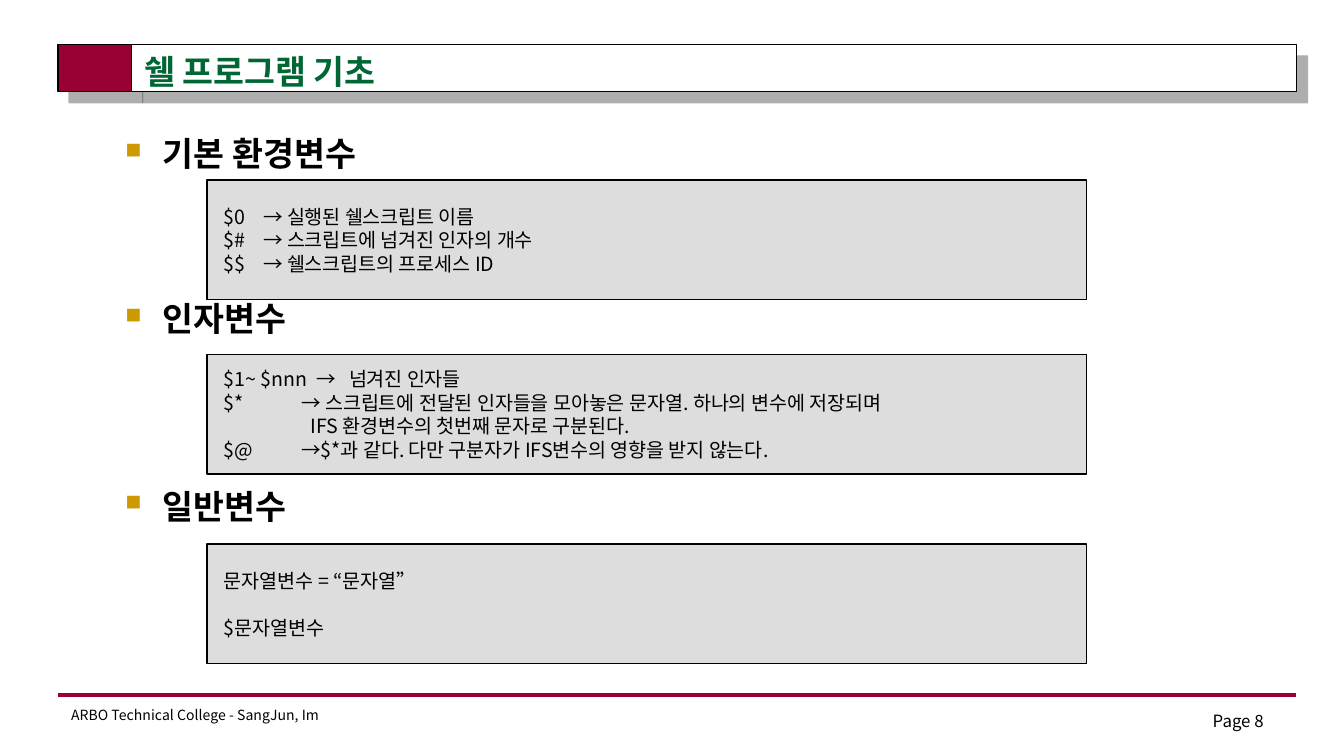
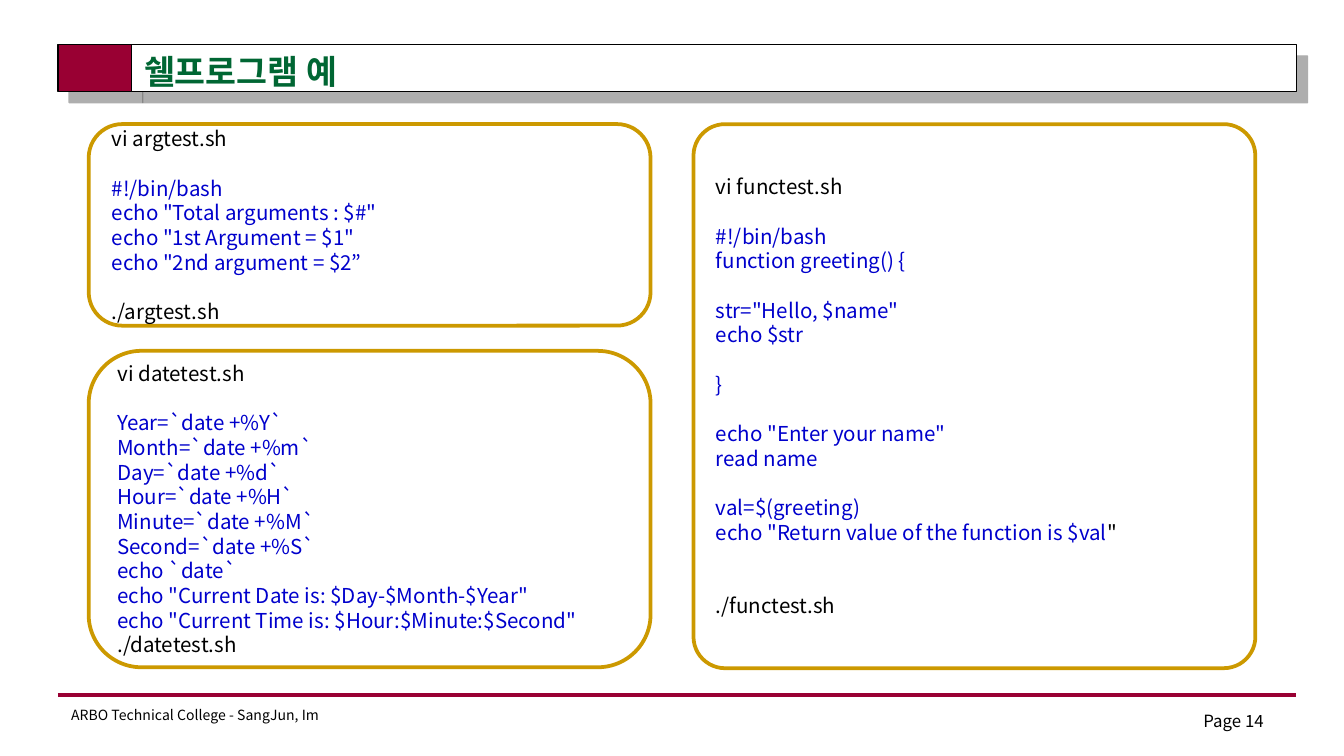
from dataclasses import dataclass

from lxml.etree import SubElement
from pptx import Presentation
from pptx.dml.color import RGBColor
from pptx.enum.shapes import MSO_CONNECTOR, MSO_SHAPE as Preset
from pptx.enum.text import MSO_ANCHOR as Anchor, MSO_AUTO_SIZE as AutoSize, PP_ALIGN as Align
from pptx.oxml.ns import qn
from pptx.util import Pt


@dataclass(frozen=True)
class Theme:
    font: str = "Noto Sans CJK KR"
    black: str = "000000"
    white: str = "FFFFFF"
    crimson: str = "990033"
    green: str = "006633"
    gold: str = "CC9900"
    blue: str = "0000CC"
    grey: str = "DDDDDD"
    shadow: str = "5F5F5F"
    heading: float = 18
    script: float = 11
    note: float = 10.5
    page: float = 9
    footer: float = 7.5
    leading: float = 1.2


THEME = Theme()

FOOTER = "ARBO Technical College - SangJun, Im"

VARIABLES = {
    "title": "쉘 프로그램 기초",
    "page": "Page 8",
    "headings": [("기본 환경변수", 0), ("인자변수", 66.8), ("일반변수", 79)],
    "boxes": [
        (96.5, [
            ("$0\t→ 실행된 쉘스크립트 이름", [21]),
            ("$#\t→ 스크립트에 넘겨진 인자의 개수", [21]),
            ("$$\t→ 쉘스크립트의 프로세스 ID", [21]),
        ]),
        (190, [
            ("$1~ $nnn\t→\t넘겨진 인자들", [49.5, 67]),
            ("$*\t→ 스크립트에 전달된 인자들을 모아놓은 문자열. 하나의 변수에 저장되며", [41.5]),
            ("\tIFS 환경변수의 첫번째 문자로 구분된다.", [46.5]),
            ("$@\t→$*과 같다. 다만 구분자가 IFS변수의 영향을 받지 않는다.", [41.5]),
        ]),
        (291.5, [
            ("문자열변수 = “문자열”", []),
            ("", []),
            ("$문자열변수", []),
        ]),
    ],
}

EXAMPLES = {
    "title": "쉘프로그램 예",
    "page": "Page 14",
    "panels": [
        ((47.5, 66.5, 301, 108), None, [
            "vi argtest.sh",
            "",
            "#!/bin/bash",
            'echo "Total arguments : $#"',
            'echo "1st Argument = $1"',
            'echo "2nd argument = $2”',
            "",
            "./argtest.sh",
        ]),
        ((371.5, 66.5, 301, 291.5), 0.058, [
            "vi functest.sh",
            "",
            "#!/bin/bash",
            "function greeting() {",
            "",
            'str="Hello, $name"',
            "echo $str",
            "",
            "}",
            "",
            'echo "Enter your name"',
            "read name",
            "",
            "val=$(greeting)",
            ('echo "Return value of the function is $val', '"'),
            "",
            "",
            "./functest.sh",
        ]),
        ((47.5, 188, 301, 169.5), None, [
            "vi datetest.sh",
            "",
            "Year=`date +%Y`",
            "Month=`date +%m`",
            "Day=`date +%d`",
            "Hour=`date +%H`",
            "Minute=`date +%M`",
            "Second=`date +%S`",
            "echo `date`",
            'echo "Current Date is: $Day-$Month-$Year"',
            'echo "Current Time is: $Hour:$Minute:$Second"',
            "./datetest.sh",
        ]),
    ],
}


def apply(target, formats):
    for name, value in formats.items():
        setattr(target, name, value)


def color(value):
    return RGBColor.from_string(value)


def place(shape, *box):
    apply(shape, dict(zip(("left", "top", "width", "height"), map(Pt, box))))


def add_run(paragraph, text, size, value, bold=False):
    run = paragraph.add_run()
    run.text = text
    apply(run.font, {"name": THEME.font, "size": Pt(size), "bold": bold})
    run.font.color.rgb = color(value)
    SubElement(run.font._element, qn("a:ea"), typeface=THEME.font)


def write(frame, lines, size, align=Align.LEFT, bold=False):
    pitch = size * THEME.leading
    fresh, gap = True, 0
    for runs, before in lines:
        if not any(text for text, _ in runs):
            gap += pitch
            continue
        paragraph = frame.paragraphs[0] if fresh else frame.add_paragraph()
        apply(paragraph, {
            "alignment": align,
            "line_spacing": Pt(pitch),
            "space_before": Pt(gap + before),
        })
        for text, value in runs:
            add_run(paragraph, text, size, value, bold)
        fresh, gap = False, 0


def write_line(frame, text, size, value, **options):
    write(frame, [([(text, value)], 0)], size, **options)


def add_box(slide, preset, box, fill, line, weight):
    shape = slide.shapes.add_shape(preset, *map(Pt, box))
    shape.shadow.inherit = False
    shape.fill.solid()
    shape.fill.fore_color.rgb = color(fill)
    shape.line.color.rgb = color(line)
    shape.line.width = Pt(weight)
    apply(shape.text_frame, {"vertical_anchor": Anchor.MIDDLE, "word_wrap": True})
    return shape


def add_label(slide, box, text, size, align, anchor):
    label = slide.shapes.add_textbox(*map(Pt, box))
    apply(label.text_frame, {"word_wrap": True, "vertical_anchor": anchor})
    write_line(label.text_frame, text, size, THEME.black, align=align)
    return label


def drop_shadow(shape):
    effects = shape._element.spPr.find(qn("a:effectLst"))
    shadow = SubElement(effects, qn("a:outerShdw"), blurRad="0", dist=str(Pt(8.5)),
                        dir=str(45 * 60000), algn="ctr", rotWithShape="0")
    tint = SubElement(shadow, qn("a:srgbClr"), val=THEME.shadow)
    SubElement(tint, qn("a:alpha"), val="50000")


def move_frame_to_master(slide, master):
    parts = []
    for box, fill in (((31, 24, 39.5, 25), THEME.crimson), ((70.5, 24, 624, 25), THEME.white)):
        band = add_box(slide, Preset.RECTANGLE, box, fill, THEME.black, 0.75)
        drop_shadow(band)
        parts.append(band)
    rule = slide.shapes.add_connector(MSO_CONNECTOR.STRAIGHT, Pt(31), Pt(372.5), Pt(694.5), Pt(372.5))
    rule.line.color.rgb = color(THEME.crimson)
    rule.line.width = Pt(2.25)
    SubElement(rule._element.spPr, qn("a:effectLst"))
    footer = add_label(slide, (31, 375, 152, 16.5), FOOTER, THEME.footer, Align.LEFT, Anchor.TOP)
    footer.text_frame.word_wrap = False
    for number, part in enumerate(parts + [rule, footer], start=100):
        next(part.element.iter(qn("p:cNvPr"))).set("id", str(number))
        master.shapes.element.append(part.element)


def add_slide(presentation, layout, content):
    slide = presentation.slides.add_slide(presentation.slide_layouts[layout])
    title = slide.shapes.title
    place(title, 70, 24, 596, 28.5)
    apply(title.text_frame, {"vertical_anchor": Anchor.MIDDLE, "auto_size": AutoSize.NONE})
    write_line(title.text_frame, content["title"], THEME.heading, THEME.green, bold=True)
    add_label(slide, (516, 376.5, 168, 18.5), content["page"], THEME.page, Align.RIGHT, Anchor.BOTTOM)
    return slide


def add_bullet(paragraph):
    properties = paragraph._p.get_or_add_pPr()
    properties.set("marL", str(Pt(20)))
    properties.set("indent", str(Pt(-20)))
    tint = SubElement(properties, qn("a:buClr"))
    SubElement(tint, qn("a:srgbClr"), val=THEME.gold)
    SubElement(properties, qn("a:buSzPct"), val="65000")
    SubElement(properties, qn("a:buFont"), typeface="Wingdings")
    SubElement(properties, qn("a:buChar"), char="n")


def add_tabs(paragraph, stops):
    tabs = SubElement(paragraph._p.get_or_add_pPr(), qn("a:tabLst"))
    for stop in stops:
        SubElement(tabs, qn("a:tab"), pos=str(Pt(stop)), algn="l")


def fill_variables(slide, content):
    body = slide.placeholders[1]
    place(body, 60, 67.5, 607, 308)
    apply(body.text_frame, {"vertical_anchor": Anchor.TOP, "auto_size": AutoSize.NONE})
    headings = [([(text, THEME.black)], before) for text, before in content["headings"]]
    write(body.text_frame, headings, THEME.heading, bold=True)
    for paragraph in body.text_frame.paragraphs:
        add_bullet(paragraph)
    for top, rows in content["boxes"]:
        box = add_box(slide, Preset.RECTANGLE, (111, top, 471, 64), THEME.grey, THEME.black, 0.75)
        box.text_frame.margin_left = Pt(9)
        write(box.text_frame, [([(text, THEME.black)], 0) for text, _ in rows], THEME.note)
        stops = [row_stops for text, row_stops in rows if text]
        for paragraph, row_stops in zip(box.text_frame.paragraphs, stops):
            if row_stops:
                add_tabs(paragraph, row_stops)


def script_runs(line):
    if isinstance(line, tuple):
        return list(zip(line, (THEME.blue, THEME.black)))
    return [(line, THEME.black if line.startswith(("vi ", "./")) else THEME.blue)]


def fill_examples(slide, content):
    for box, rounding, lines in content["panels"]:
        panel = add_box(slide, Preset.ROUNDED_RECTANGLE, box, THEME.white, THEME.gold, 2)
        if rounding:
            panel.adjustments[0] = rounding
        write(panel.text_frame, [(script_runs(line), 0) for line in lines], THEME.script)


def main():
    presentation = Presentation()
    presentation.slide_width, presentation.slide_height = Pt(720), Pt(405)
    variables = add_slide(presentation, 1, VARIABLES)
    move_frame_to_master(variables, presentation.slide_master)
    fill_variables(variables, VARIABLES)
    examples = add_slide(presentation, 5, EXAMPLES)
    fill_examples(examples, EXAMPLES)
    presentation.save("out.pptx")


if __name__ == "__main__":
    main()
